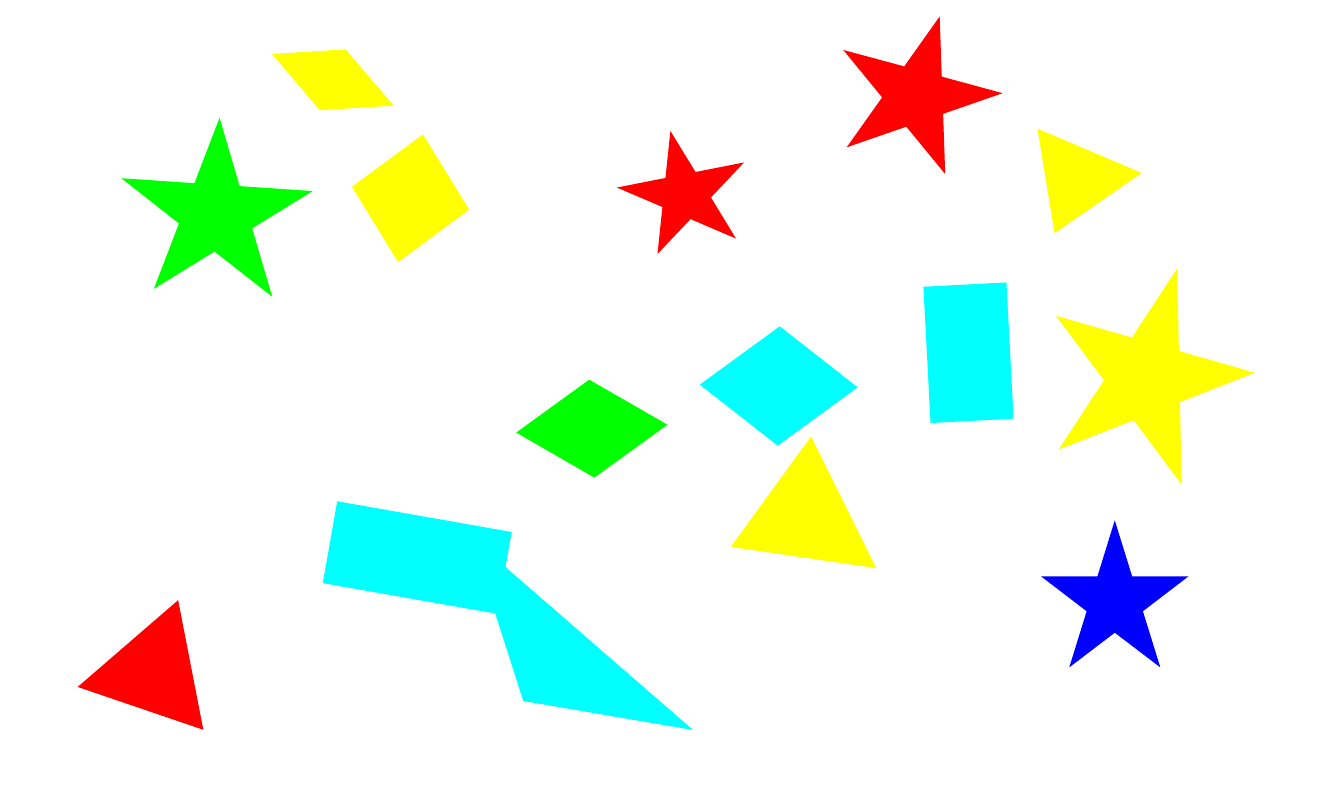
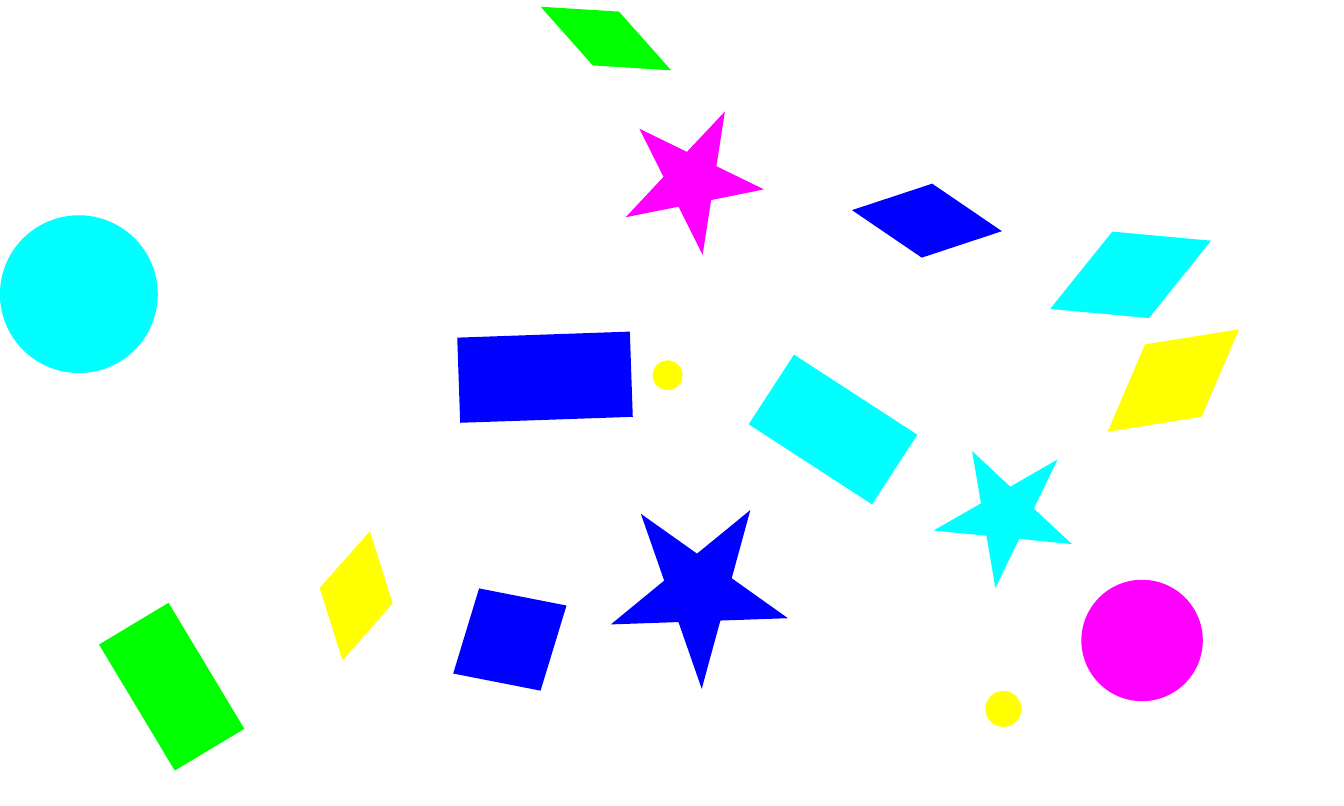
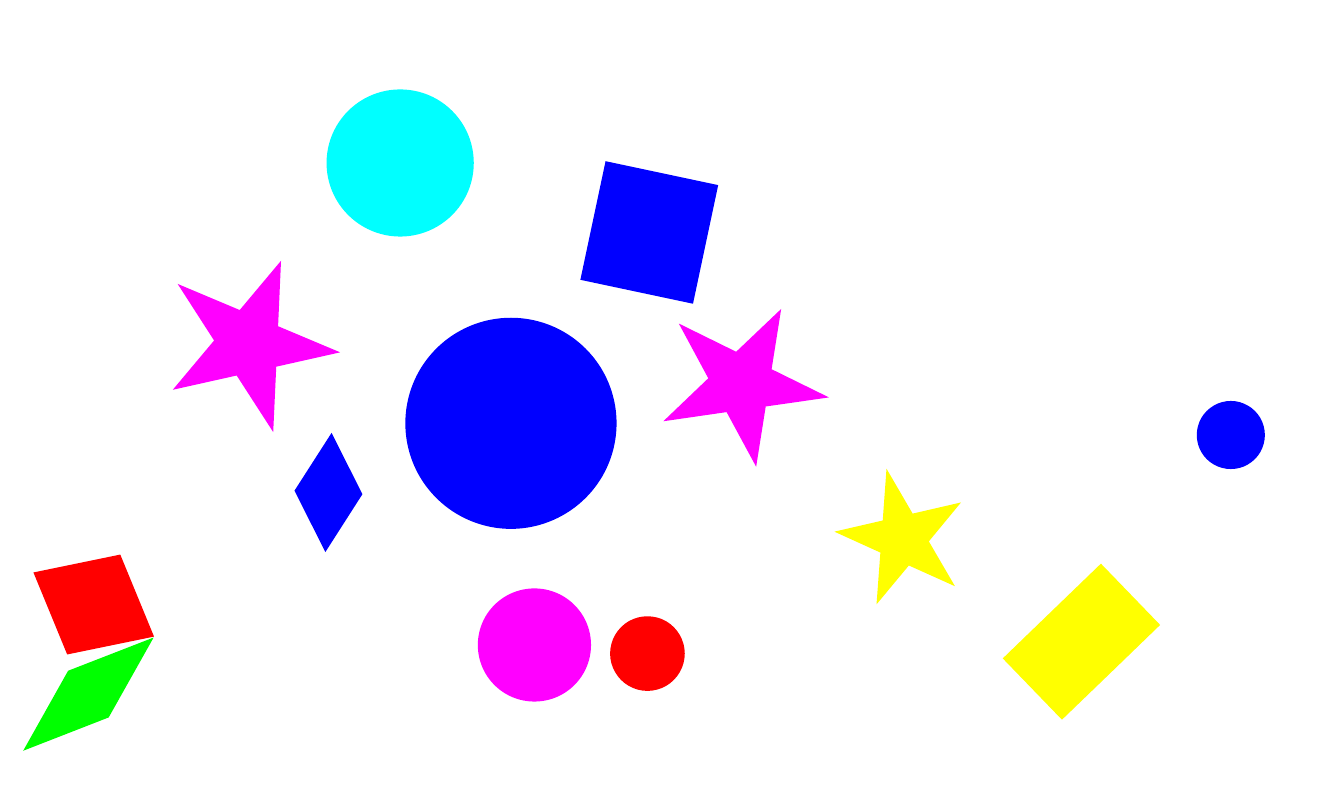
"""Build three slides of scattered, rotated shapes in plain colours."""
from pptx import Presentation
from pptx.dml.color import RGBColor
from pptx.enum.shapes import MSO_SHAPE as Preset
from pptx.util import Pt

SLIDE_WIDTH, SLIDE_HEIGHT = 453.6, 272.16
BLANK_LAYOUT = 6

WHITE = RGBColor(0xFF, 0xFF, 0xFF)
RED = RGBColor(0xFF, 0x00, 0x00)
GREEN = RGBColor(0x00, 0xFF, 0x00)
BLUE = RGBColor(0x00, 0x00, 0xFF)
YELLOW = RGBColor(0xFF, 0xFF, 0x00)
CYAN = RGBColor(0x00, 0xFF, 0xFF)
MAGENTA = RGBColor(0xFF, 0x00, 0xFF)


def add_slide(presentation):
    slide = presentation.slides.add_slide(presentation.slide_layouts[BLANK_LAYOUT])
    background = slide.background.fill
    background.solid()
    background.fore_color.rgb = WHITE
    return slide


def add_preset(slide, preset, color, left, top, width, height, rotation=0):
    shape = slide.shapes.add_shape(preset, Pt(left), Pt(top), Pt(width), Pt(height))
    shape.rotation = rotation
    shape.shadow.inherit = False
    shape.fill.solid()
    shape.fill.fore_color.rgb = color
    shape.line.fill.background()


def circle(slide, color, left, top, size):
    add_preset(slide, Preset.OVAL, color, left, top, size, size)


def star(slide, color, left, top, size, rotation=0):
    add_preset(slide, Preset.STAR_5_POINT, color, left, top, size, size, rotation)


def diamond(slide, color, *box):
    add_preset(slide, Preset.DIAMOND, color, *box)


def rectangle(slide, color, *box):
    add_preset(slide, Preset.RECTANGLE, color, *box)


def triangle(slide, color, *box):
    add_preset(slide, Preset.ISOSCELES_TRIANGLE, color, *box)


STARS_AND_TRIANGLES = [
    (diamond, YELLOW, 116.6, 46.8, 43.9, 40.3, 101),
    (star, GREEN, 38.9, 40.3, 61.9, 291),
    (triangle, YELLOW, 254.9, 157, 46.1, 43.9, 126),
    (rectangle, CYAN, 110.9, 174.2, 59.8, 28.1, 190),
    (star, YELLOW, 352.8, 89.3, 69.8, 16),
    (star, RED, 208.1, 44.6, 41.8, 276),
    (star, RED, 285.1, 5.8, 53.3, 88),
    (diamond, GREEN, 174.2, 128.2, 51.1, 33.1, 357),
    (star, BLUE, 351.4, 175.7, 49.7),
    (rectangle, CYAN, 303.8, 105.1, 46.1, 28.1, 87),
    (triangle, RED, 23, 208.8, 44.6, 38.9, 259),
    (triangle, YELLOW, 342.7, 49.7, 38.2, 30.2, 203),
    (diamond, YELLOW, 90, 15.8, 44.6, 22.3, 203),
    (triangle, CYAN, 136.8, 210.2, 99.4, 30.2, 221),
    (diamond, CYAN, 236.2, 110.2, 53.3, 40.3, 1),
]

DIAMONDS_AND_RECTANGLES = [
    (star, MAGENTA, 211, 35.3, 46.8, 26),
    (star, CYAN, 318.2, 149, 46.1, 43),
    (diamond, YELLOW, 97.9, 188.6, 44.6, 25.2, 102),
    (rectangle, CYAN, 256.3, 131, 49.7, 28.1, 33),
    (diamond, BLUE, 287.3, 61.9, 51.1, 25.2, 188),
    (rectangle, GREEN, 33.1, 218.2, 49.7, 27.4, 59),
    (diamond, CYAN, 352.1, 77, 59, 31.7, 337),
    (circle, CYAN, 0, 72.7, 53.3),
    (rectangle, BLUE, 154.8, 113, 58.3, 28.8, 358),
    (diamond, GREEN, 180, 2.9, 49, 20.2, 206),
    (diamond, BLUE, 149.8, 195.8, 44.6, 40.3, 329),
    (star, BLUE, 205.9, 172.8, 59.8, 178),
    (circle, YELLOW, 332.6, 233.3, 12.2),
    (circle, MAGENTA, 365, 195.8, 41),
    (circle, YELLOW, 220.3, 121.7, 10.1),
    (diamond, YELLOW, 367.9, 113, 56.2, 31, 142),
]

CIRCLES_AND_STARS = [
    (circle, RED, 205.9, 208.1, 25.2),
    (star, MAGENTA, 53.3, 85.7, 56.9, 310),
    (circle, BLUE, 403.9, 135.4, 23),
    (circle, CYAN, 110.2, 30.2, 49.7),
    (circle, BLUE, 136.8, 107.3, 71.3),
    (star, YELLOW, 282.2, 157.7, 43.9, 347),
    (star, MAGENTA, 226.1, 103, 54, 99),
    (diamond, GREEN, 0.7, 223.9, 58.3, 20.9, 139),
    (circle, MAGENTA, 161.3, 198.7, 38.2),
    (rectangle, YELLOW, 342, 202.3, 46.1, 28.8, 316),
    (rectangle, BLUE, 198.7, 59, 41, 38.9, 282),
    (diamond, RED, 8.6, 185, 46.1, 38.2, 208),
    (diamond, BLUE, 90.7, 154.8, 40.3, 23, 93),
]


def main():
    presentation = Presentation()
    presentation.slide_width = Pt(SLIDE_WIDTH)
    presentation.slide_height = Pt(SLIDE_HEIGHT)
    for scene in (STARS_AND_TRIANGLES, DIAMONDS_AND_RECTANGLES, CIRCLES_AND_STARS):
        slide = add_slide(presentation)
        for draw, color, *geometry in scene:
            draw(slide, color, *geometry)
    presentation.save("out.pptx")


if __name__ == "__main__":
    main()
